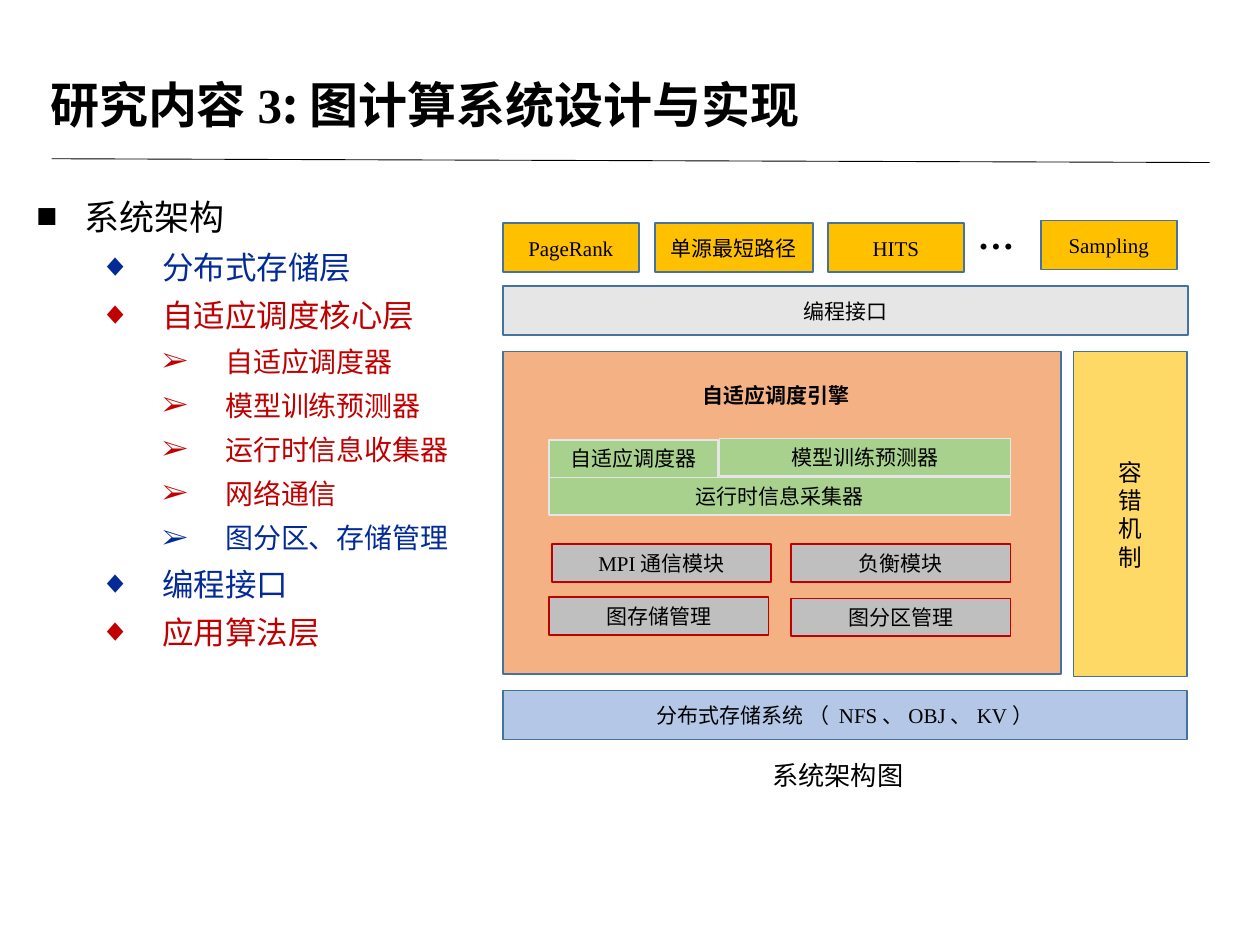
"""Build the slide on the architecture of the graph computing system."""
from dataclasses import dataclass
from typing import Optional

from lxml import etree
from pptx import Presentation
from pptx import util as u
from pptx.dml.color import RGBColor
from pptx.enum import shapes, text
from pptx.oxml import ns


@dataclass(frozen=True)
class Theme:
    cjk: str = "Noto Sans CJK SC"
    latin: str = "Times New Roman"
    black: str = "000000"
    blue: str = "042A98"
    red: str = "C00000"
    border: str = "43739E"
    pale: str = "E7E6E6"
    app: str = "FFC000"
    engine: str = "F4B183"
    scheduler: str = "A9D18E"
    module: str = "BFBFBF"
    fault: str = "FFD966"
    storage: str = "B4C7E7"
    title: float = 28
    dots: float = 21
    caption: float = 15
    side: float = 13.5
    label: float = 12
    levels: tuple = (20, 18, 16)
    leading: float = 1.2


T = Theme()


@dataclass(frozen=True)
class Box:
    label: str
    x: float
    y: float
    w: float
    h: float
    fill: str
    line: str = T.border
    size: float = T.label


@dataclass(frozen=True)
class Item:
    label: str
    level: int
    color: str


@dataclass(frozen=True)
class Bullet:
    char: str
    margin: float
    hang: float
    before: float


BULLETS = (Bullet("■", 0.38, 0.38, 0), Bullet("◆", 1, 0.5, 6), Bullet("➢", 1.5, 0.5, 6))

ITEMS = (
    Item("系统架构", 1, T.black),
    Item("分布式存储层", 2, T.blue),
    Item("自适应调度核心层", 2, T.red),
    Item("自适应调度器", 3, T.red),
    Item("模型训练预测器", 3, T.red),
    Item("运行时信息收集器", 3, T.red),
    Item("网络通信", 3, T.red),
    Item("图分区、存储管理", 3, T.blue),
    Item("编程接口", 2, T.blue),
    Item("应用算法层", 2, T.red),
)

LEFT, ROW, SMALL = 3.99, 0.39, 0.3
INNER, INNER_RIGHT, MODULE_W = 4.36, 6.28, 1.74

BOXES = (
    Box("分布式存储系统 （ |NFS、OBJ、KV|）", LEFT, 5.48, 5.43, ROW, T.storage),
    Box("", LEFT, 2.79, 4.43, 2.56, T.engine),
    Box("编程接口", LEFT, 2.27, 5.44, ROW, T.pale),
    Box("|PageRank", LEFT, 1.77, 1.08, ROW, T.app),
    Box("|单源最短路径", 5.2, 1.77, 1.25, ROW, T.app),
    Box("|HITS", 6.57, 1.77, 1.08, ROW, T.app),
    Box("|Sampling", 8.26, 1.75, 1.08, ROW, T.app),
    Box("容\n错\n机\n制", 8.52, 2.79, 0.9, 2.58, T.fault, size=T.side),
    Box("图存储管理", INNER, 4.74, MODULE_W, SMALL, T.module, T.red),
    Box("图分区管理", INNER_RIGHT, 4.75, MODULE_W, SMALL, T.module, T.red),
    Box("|MPI|通信模块", 4.38, 4.32, MODULE_W, SMALL, T.module, T.red),
    Box("负衡模块", INNER_RIGHT, 4.32, MODULE_W, SMALL, T.module, T.red),
    Box("运行时信息采集器", INNER, 3.79, 3.66, SMALL, T.scheduler, T.pale),
    Box("自适应调度器", INNER, 3.49, 1.34, SMALL, T.scheduler, T.pale),
    Box("模型训练预测器", 5.71, 3.48, 2.31, SMALL, T.scheduler, T.pale),
)


def rgb(color: str) -> RGBColor:
    return RGBColor.from_string(color)


def write(p, label: str, *, size: float, color: str = T.black, bold: bool = False,
          align: Optional[text.PP_ALIGN] = None) -> None:
    """Fill a paragraph; bars in the label switch between CJK and Latin fonts."""
    if align is not None:
        p.alignment = align
    p.line_spacing = u.Pt(size * T.leading)
    for i, part in enumerate(label.split("|")):
        if not part:
            continue
        r = p.add_run()
        r.text = part
        r.font.size = u.Pt(size)
        r.font.bold = bold
        r.font.color.rgb = rgb(color)
        r.font.name = T.latin if i % 2 else T.cjk
        ea = etree.SubElement(r.font._element, ns.qn("a:ea"))
        ea.set("typeface", T.cjk)


def add_text(s, x: float, y: float, w: float, h: float):
    """Add an empty wrapping text box and return its frame."""
    tf = s.shapes.add_textbox(*map(u.Inches, (x, y, w, h))).text_frame
    tf.word_wrap = True
    tf.auto_size = text.MSO_AUTO_SIZE.SHAPE_TO_FIT_TEXT
    return tf


def add_box(s, box: Box) -> None:
    """Draw one block of the architecture."""
    sp = s.shapes.add_shape(shapes.MSO_SHAPE.RECTANGLE,
                            *map(u.Inches, (box.x, box.y, box.w, box.h)))
    sp.shadow.inherit = False
    sp.fill.solid()
    sp.fill.fore_color.rgb = rgb(box.fill)
    sp.line.color.rgb = rgb(box.line)
    sp.line.width = u.Pt(1)
    if not box.label:
        return
    tf = sp.text_frame
    tf.word_wrap = True
    tf.vertical_anchor = text.MSO_ANCHOR.MIDDLE
    for i, line in enumerate(box.label.split("\n")):
        p = tf.add_paragraph() if i else tf.paragraphs[0]
        write(p, line, size=box.size, align=text.PP_ALIGN.CENTER)


def add_outline(s) -> None:
    """Write the bulleted outline on the left."""
    tf = add_text(s, 0.19, 1.5, 4.04, 4.02)
    for i, item in enumerate(ITEMS):
        p = tf.add_paragraph() if i else tf.paragraphs[0]
        b = BULLETS[item.level - 1]
        p.level = item.level
        p.space_before = u.Pt(b.before)
        pr = p._p.get_or_add_pPr()
        pr.set("marL", str(u.Inches(b.margin)))
        pr.set("indent", str(-u.Inches(b.hang)))
        etree.SubElement(pr, ns.qn("a:buFont")).set("typeface", T.latin)
        etree.SubElement(pr, ns.qn("a:buChar")).set("char", b.char)
        write(p, item.label, size=T.levels[item.level - 1], color=item.color)


def add_rule(s) -> None:
    """Draw the line under the title."""
    c = s.shapes.add_connector(shapes.MSO_CONNECTOR.STRAIGHT,
                               *map(u.Inches, (0.41, 1.26, 9.6, 1.29)))
    c.line.color.rgb = rgb(T.black)
    c.line.width = u.Pt(0.5)
    etree.SubElement(c._element.spPr, ns.qn("a:effectLst"))


def main() -> None:
    prs = Presentation()
    prs.slide_width, prs.slide_height = u.Inches(10), u.Inches(7.5)
    s = prs.slides.add_slide(prs.slide_layouts[6])
    add_rule(s)
    title = add_text(s, 0.3, 0.54, 8.91, 0.57)
    write(title.paragraphs[0], "研究内容|3|:图计算系统设计与实现", size=T.title, bold=True)
    add_outline(s)
    for box in BOXES:
        add_box(s, box)
    engine = add_text(s, 5.48, 2.99, 1.46, 0.3)
    write(engine.paragraphs[0], "自适应调度引擎", size=T.label, bold=True)
    dots = add_text(s, 7.66, 1.64, 0.55, 0.45)
    write(dots.paragraphs[0], "|…", size=T.dots, bold=True)
    caption = add_text(s, 6.03, 5.98, 1.31, 0.35)
    write(caption.paragraphs[0], "系统架构图", size=T.caption)
    prs.save("out.pptx")


if __name__ == "__main__":
    main()
